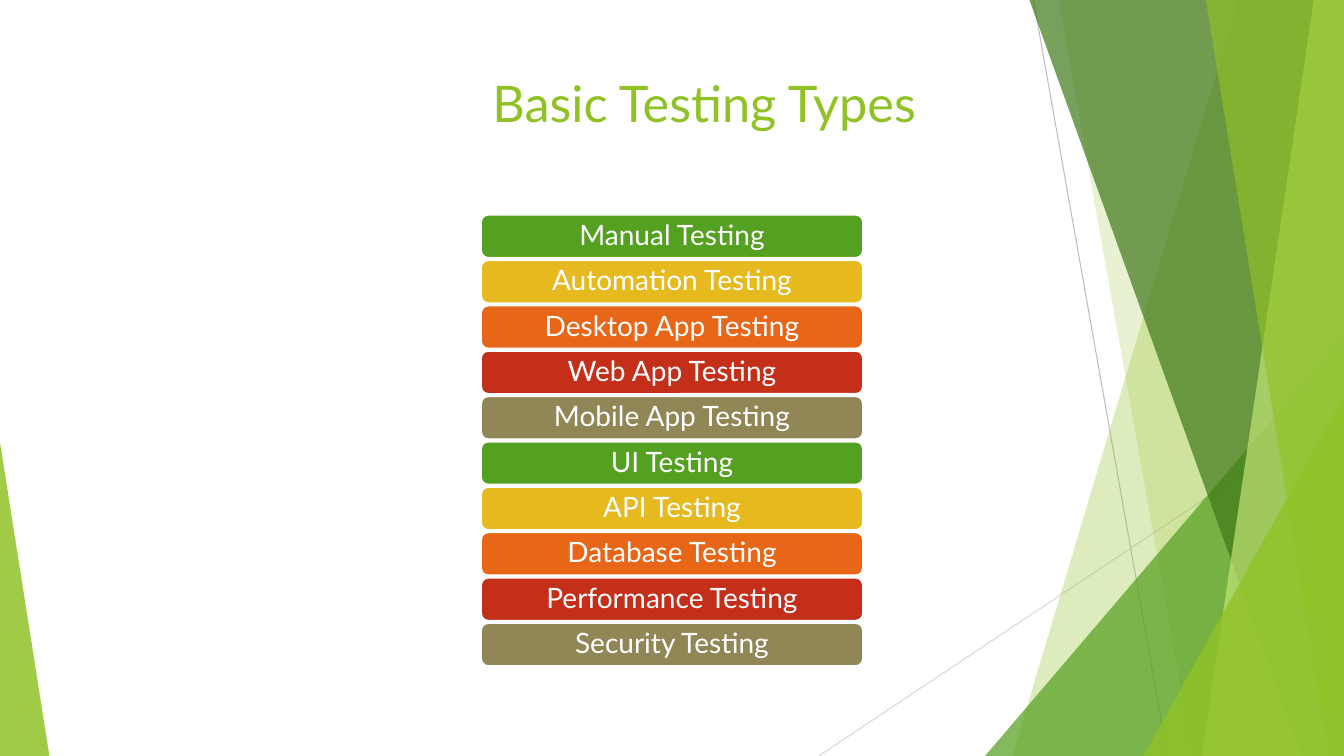
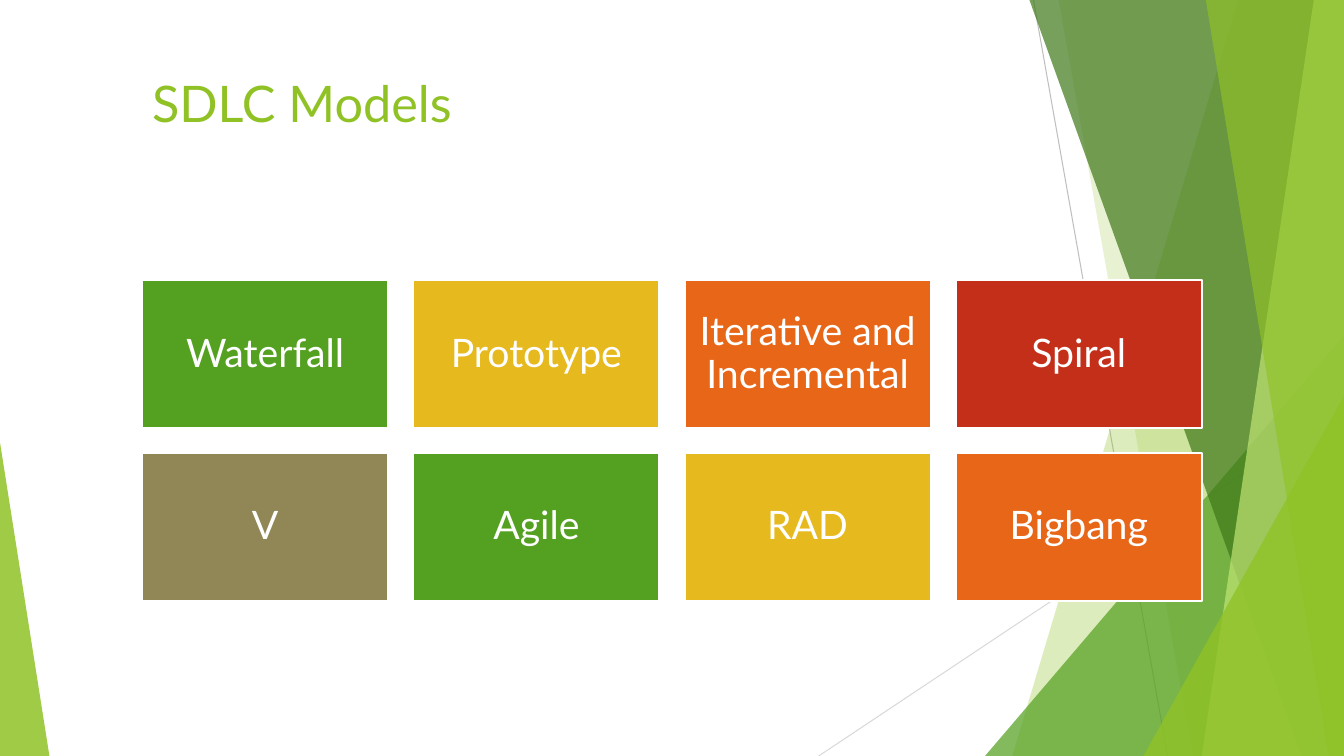
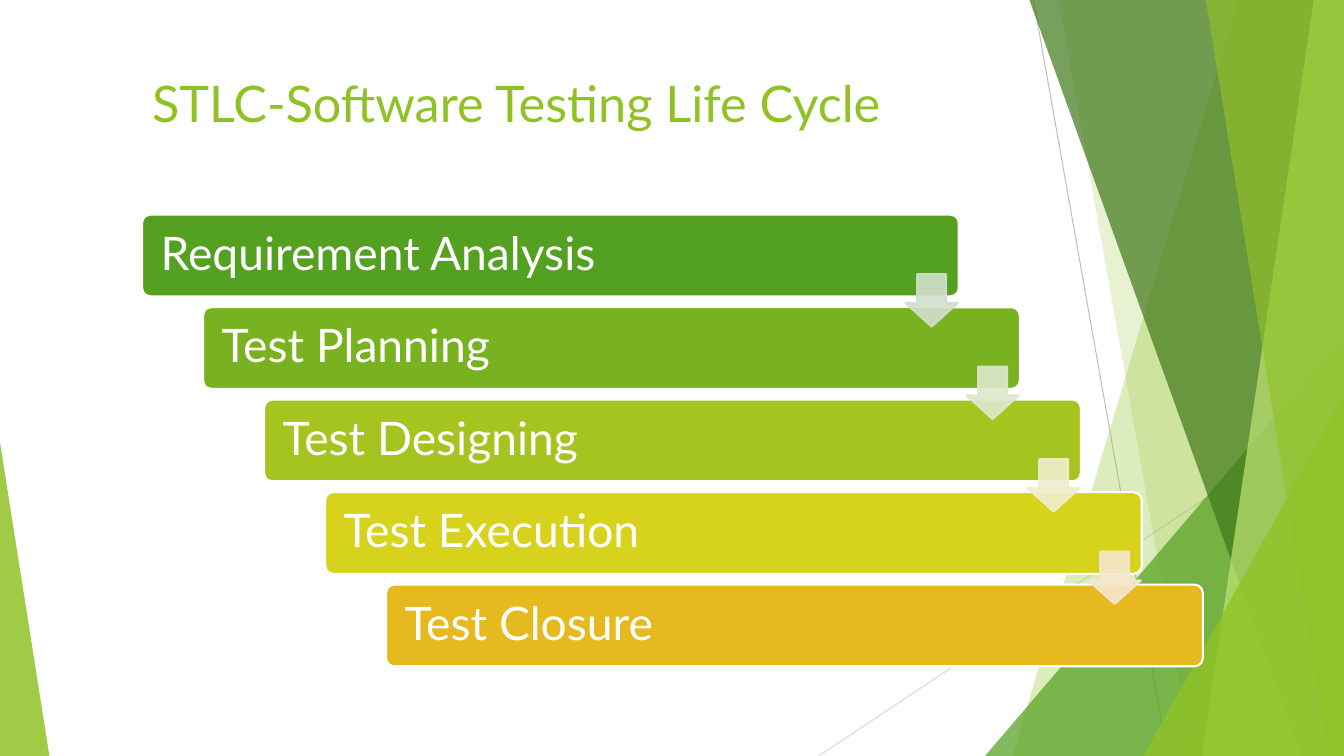
"""Build three slides on testing types, SDLC models and the testing life cycle."""
import lxml.etree
import pptx
import pptx.dml.color
import pptx.enum.shapes
import pptx.enum.text
import pptx.oxml.ns
import pptx.util

Inches = pptx.util.Inches
Pt = pptx.util.Pt
Kind = pptx.enum.shapes.MSO_SHAPE
Align = pptx.enum.text.PP_ALIGN
Anchor = pptx.enum.text.MSO_ANCHOR


class Theme:
    """Colours, font and type sizes."""
    font = "Lato"
    lime, green, dark, pale = "90C226", "54A021", "3F7819", "C0E474"
    white, gray, mist = "FFFFFF", "BFBFBF", "D9D9D9"
    cycle = [green, "E6B91E", "E76618", "C42F1A", "918655"]
    steps = [green, "79B220", "A5C41F", "D7D31D", "E6B91E"]
    arrows = ["D1DFCD", "DCE8CC", "EEEFCC", "F5E7CD"]
    title, bar, card, step = 36, 20, 28, 33
    hair, edge = 0.75, 1.5


WIDE, HIGH = 13.33, 7.5
LEFT = 1.41

TYPES = ["Manual Testing", "Automation Testing", "Desktop App Testing",
         "Web App Testing", "Mobile App Testing", "UI Testing", "API Testing",
         "Database Testing", "Performance Testing", "Security Testing"]
MODELS = ["Waterfall", "Prototype", "Iterative and Incremental", "Spiral",
          "V", "Agile", "RAD", "Bigbang"]
STAGES = ["Requirement Analysis", "Test Planning", "Test Designing",
          "Test Execution", "Test Closure"]

LINES = [((10.25, 0), (11.58, HIGH), Theme.gray),
         ((WIDE, 4.03), (8.12, HIGH), Theme.mist)]
BANDS = [("band", 12.28, 10.04, Theme.lime, 30),
         ("band", 10.5, 11.83, Theme.lime, 20),
         ("peak", (9.77, 3.33, 3.56, 4.17), 1, Theme.green, 72),
         ("band", 10.21, 12.91, Theme.dark, 70),
         ("band", 13.03, 11.92, Theme.pale, 70),
         ("band", 11.96, 13.18, Theme.lime, 65),
         ("peak", (11.34, 3.93, 1.99, 3.57), 1, Theme.lime, 80),
         ("peak", (0, 4.39, 0.49, 3.11), 0, Theme.lime, 85)]


def rgb(code):
    return pptx.dml.color.RGBColor.from_string(code)


def paint(shape, color, edge=None, alpha=100):
    shape.shadow.inherit = False
    shape.fill.solid()
    shape.fill.fore_color.rgb = rgb(color)
    if edge:
        shape.line.color.rgb = rgb(edge)
        shape.line.width = Pt(Theme.edge)
    else:
        shape.line.fill.background()
    if alpha < 100:
        for node in shape.element.spPr.iter(pptx.oxml.ns.qn("a:srgbClr")):
            tag = pptx.oxml.ns.qn("a:alpha")
            lxml.etree.SubElement(node, tag).set("val", str(alpha * 1000))


def place(slide, kind, box, adjust=()):
    shape = slide.shapes.add_shape(kind, *map(Inches, box))
    for spot, value in enumerate(adjust):
        shape.adjustments[spot] = value
    return shape


def write(shape, text, size, color, align, pad=None, space=None):
    frame = shape.text_frame
    frame.text = text
    frame.word_wrap = True
    if pad:
        frame.margin_left = frame.margin_right = Inches(pad[0])
        frame.margin_top = frame.margin_bottom = Inches(pad[1])
    para = frame.paragraphs[0]
    para.alignment = align
    if space:
        para.line_spacing = space
    font = para.runs[0].font
    font.name, font.size, font.color.rgb = Theme.font, Pt(size), rgb(color)


def label(slide, kind, box, text, color, size, pad, align=Align.CENTER, adjust=()):
    shape = place(slide, kind, box, adjust)
    paint(shape, color, Theme.white)
    write(shape, text, size, Theme.white, align, pad, 0.9)
    shape.text_frame.vertical_anchor = Anchor.MIDDLE


def decor(slide):
    for start, end, color in LINES:
        line = slide.shapes.add_connector(
            pptx.enum.shapes.MSO_CONNECTOR.STRAIGHT, *map(Inches, start + end))
        line.line.color.rgb = rgb(color)
        line.line.width = Pt(Theme.hair)
        lxml.etree.SubElement(line.element.spPr, pptx.oxml.ns.qn("a:effectLst"))
    for kind, first, last, color, alpha in BANDS:
        if kind == "band":
            pen = slide.shapes.build_freeform(Inches(first), 0)
            pen.add_line_segments([(Inches(x), Inches(y)) for x, y in
                                   ((WIDE, 0), (WIDE, HIGH), (last, HIGH))])
            shape = pen.convert_to_shape()
        else:
            shape = place(slide, Kind.ISOSCELES_TRIANGLE, first, [last])
        paint(shape, color, alpha=alpha)


def start(deck, title, align=Align.LEFT):
    slide = deck.slides.add_slide(deck.slide_layouts[6])
    decor(slide)
    box = slide.shapes.add_textbox(*map(Inches, (LEFT, 0.67, 11.15, 1.2)))
    write(box, title, Theme.title, Theme.lime, align)
    return slide


def types(deck):
    slide = start(deck, "Basic Testing Types", Align.CENTER)
    for i, text in enumerate(TYPES):
        label(slide, Kind.ROUNDED_RECTANGLE, (4.77, 2.13 + 0.45 * i, 3.79, 0.43),
              text, Theme.cycle[i % len(Theme.cycle)], Theme.bar, (0.1, 0.04))


def models(deck):
    slide = start(deck, "SDLC Models")
    for i, text in enumerate(MODELS):
        row, col = divmod(i, 4)
        label(slide, Kind.RECTANGLE,
              (LEFT + 2.69 * col, 2.78 + 1.71 * row, 2.44, 1.47),
              text, Theme.cycle[i % len(Theme.cycle)], Theme.card, (0.12, 0.12))


def stages(deck):
    slide = start(deck, "STLC-Software Testing Life Cycle")
    across, down = 2.42 / 4, 3.67 / 4
    for i, text in enumerate(STAGES):
        label(slide, Kind.ROUNDED_RECTANGLE,
              (LEFT + across * i, 2.13 + down * i, 8.1, 0.81), text,
              Theme.steps[i], Theme.step, (0.16, 0.1), Align.LEFT, [0.1])
    for i, color in enumerate(Theme.arrows):
        arrow = place(slide, Kind.DOWN_ARROW,
                      (8.98 + across * i, 2.72 + down * i, 0.52, 0.52), [0.55, 0.45])
        paint(arrow, color, color, 90)


def main():
    deck = pptx.Presentation()
    deck.slide_width, deck.slide_height = Inches(WIDE), Inches(HIGH)
    for build in (types, models, stages):
        build(deck)
    deck.save("out.pptx")


if __name__ == "__main__":
    main()
